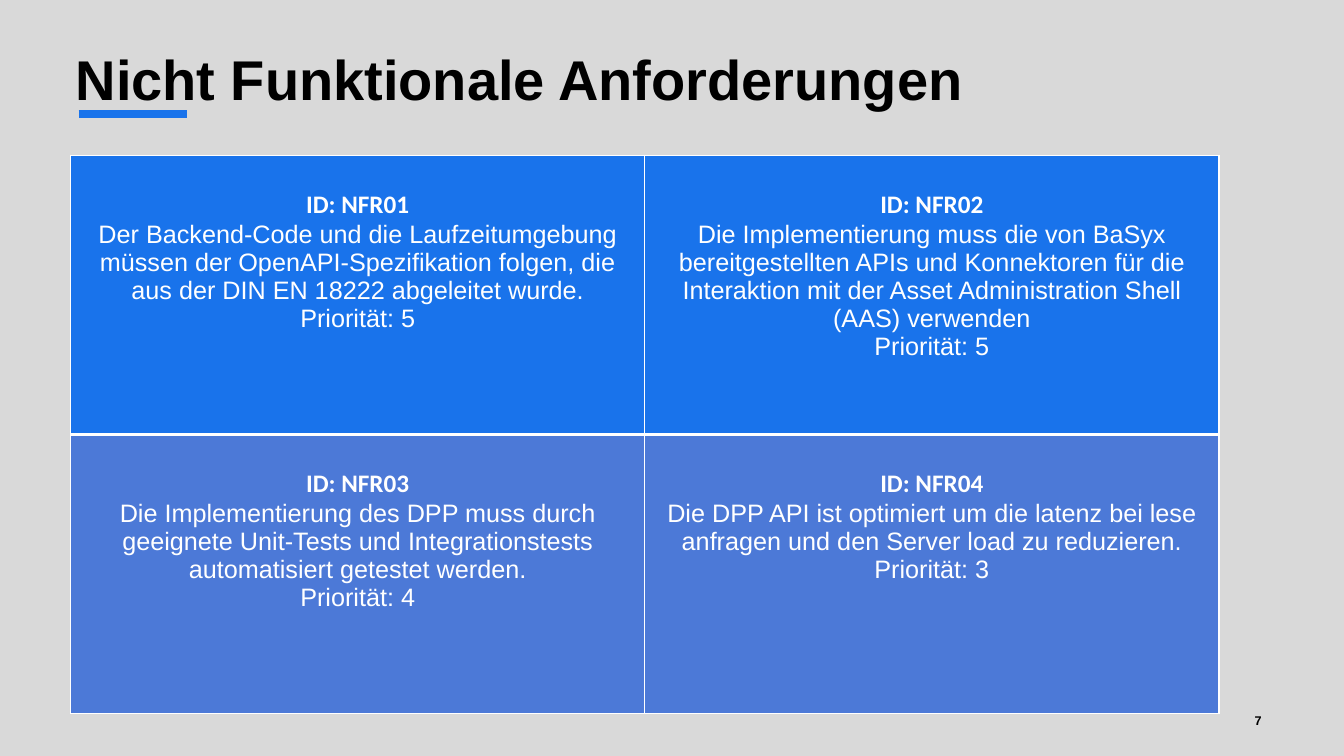
from lxml.etree import SubElement
from pptx import Presentation
from pptx.dml.color import RGBColor
from pptx.enum.shapes import MSO_CONNECTOR
from pptx.enum.text import MSO_ANCHOR as Anchor, PP_ALIGN as Align
from pptx.oxml.ns import qn
from pptx.util import Inches, Pt

BLACK = RGBColor(0x00, 0x00, 0x00)
WHITE = RGBColor(0xFF, 0xFF, 0xFF)
BLUE = RGBColor(0x19, 0x73, 0xEB)
SOFT_BLUE = RGBColor(0x4C, 0x79, 0xD7)
BACKGROUND = RGBColor(0xD9, 0xD9, 0xD9)

TITLE_FONT = {"name": "Arial", "size": Pt(40), "bold": True}
NUMBER_FONT = {"name": "Arial", "size": Pt(9), "bold": True}
ID_FONT = {"name": "Calibri", "size": Pt(18), "bold": True}
BODY_FONT = {"name": "Arial", "size": Pt(18), "bold": False}

REQUIREMENTS = [
    [
        ("NFR01", "Der Backend-Code und die Laufzeitumgebung müssen der OpenAPI-Spezifikation "
                  "folgen, die aus der DIN EN 18222 abgeleitet wurde.", 5),
        ("NFR02", "Die Implementierung muss die von BaSyx bereitgestellten APIs und Konnektoren "
                  "für die Interaktion mit der Asset Administration Shell (AAS) verwenden", 5),
    ],
    [
        ("NFR03", "Die Implementierung des DPP muss durch geeignete Unit-Tests und "
                  "Integrationstests automatisiert getestet werden.", 4),
        ("NFR04", "Die DPP API ist optimiert um die latenz bei lese anfragen und den Server load "
                  "zu reduzieren.", 3),
    ],
]
ROW_FILLS = [BLUE, SOFT_BLUE]
ROW_BORDERS = [
    {"lnL": 1, "lnR": 1, "lnT": 1, "lnB": 3},
    {"lnL": 1, "lnR": 1, "lnT": 3, "lnB": 1},
]


def set_attributes(target, values):
    """Set every attribute named in values on the target."""
    for name, value in values.items():
        setattr(target, name, value)


def write_paragraph(paragraph, text, font, color, alignment):
    """Fill a paragraph with one formatted run and return the run."""
    paragraph.alignment = alignment
    run = paragraph.add_run()
    run.text = text
    set_attributes(run.font, font)
    run.font.color.rgb = color
    return run


def add_title(slide, left, top, width, height, text):
    """Place the title and the short accent line under it."""
    frame = slide.shapes.add_textbox(left, top, width, height).text_frame
    set_attributes(frame, {"word_wrap": True, "margin_left": Inches(0.05),
                           "margin_top": Inches(0.11)})
    write_paragraph(frame.paragraphs[0], text, TITLE_FONT, BLACK, Align.LEFT)
    start, line_top = left + Inches(0.08), top + Inches(0.8)
    accent = slide.shapes.add_connector(
        MSO_CONNECTOR.STRAIGHT, start, line_top, start + Inches(1.07), line_top)
    accent.line.color.rgb = BLUE
    accent.line.width = Pt(6)
    SubElement(accent._element.spPr, qn("a:effectLst"))


def add_slide_number(slide, left, top, width, height, number):
    """Place the slide number at the right of its box."""
    frame = slide.shapes.add_textbox(left, top, width, height).text_frame
    set_attributes(frame, {"word_wrap": True, "vertical_anchor": Anchor.MIDDLE})
    write_paragraph(frame.paragraphs[0], str(number), NUMBER_FONT, BLACK, Align.RIGHT)


def set_borders(cell, widths):
    """Draw white cell borders with the given widths in points."""
    properties = cell._tc.get_or_add_tcPr()
    for side, width in widths.items():
        line = SubElement(properties, qn(f"a:{side}"), w=str(Pt(width)))
        fill = SubElement(line, qn("a:solidFill"))
        SubElement(fill, qn("a:srgbClr"), val=str(WHITE))


def fill_cell(cell, requirement, color, borders):
    """Write one requirement into its coloured cell."""
    identifier, description, priority = requirement
    set_borders(cell, borders)
    cell.fill.solid()
    cell.fill.fore_color.rgb = color
    set_attributes(cell, {"margin_top": Inches(0.34), "vertical_anchor": Anchor.TOP})
    frame = cell.text_frame
    write_paragraph(frame.paragraphs[0], f"ID: {identifier}", ID_FONT, WHITE, Align.CENTER)
    for text in (description, f"Priorität: {priority}"):
        write_paragraph(frame.add_paragraph(), text, BODY_FONT, WHITE, Align.CENTER)


def add_requirements(slide, left, top, width, height):
    """Place the table of requirements, one requirement per cell."""
    table = slide.shapes.add_table(
        len(REQUIREMENTS), len(REQUIREMENTS[0]), left, top, width, height).table
    set_attributes(table, {"first_row": False, "horz_banding": False})
    for row, requirements in enumerate(REQUIREMENTS):
        for column, requirement in enumerate(requirements):
            fill_cell(table.cell(row, column), requirement, ROW_FILLS[row], ROW_BORDERS[row])


def main():
    """Build the slide and save it."""
    presentation = Presentation()
    set_attributes(presentation, {"slide_width": Inches(13.33), "slide_height": Inches(7.5)})
    slide = presentation.slides.add_slide(presentation.slide_layouts[6])
    slide.background.fill.solid()
    slide.background.fill.fore_color.rgb = BACKGROUND
    add_title(slide, Inches(0.7), Inches(0.33), Inches(11.91), Inches(1.2),
              "Nicht Funktionale Anforderungen")
    add_slide_number(slide, Inches(11.82), Inches(6.95), Inches(0.79), Inches(0.4), 7)
    add_requirements(slide, Inches(0.7), Inches(1.54), Inches(11.39), Inches(5.54))
    presentation.save("out.pptx")


if __name__ == "__main__":
    main()
